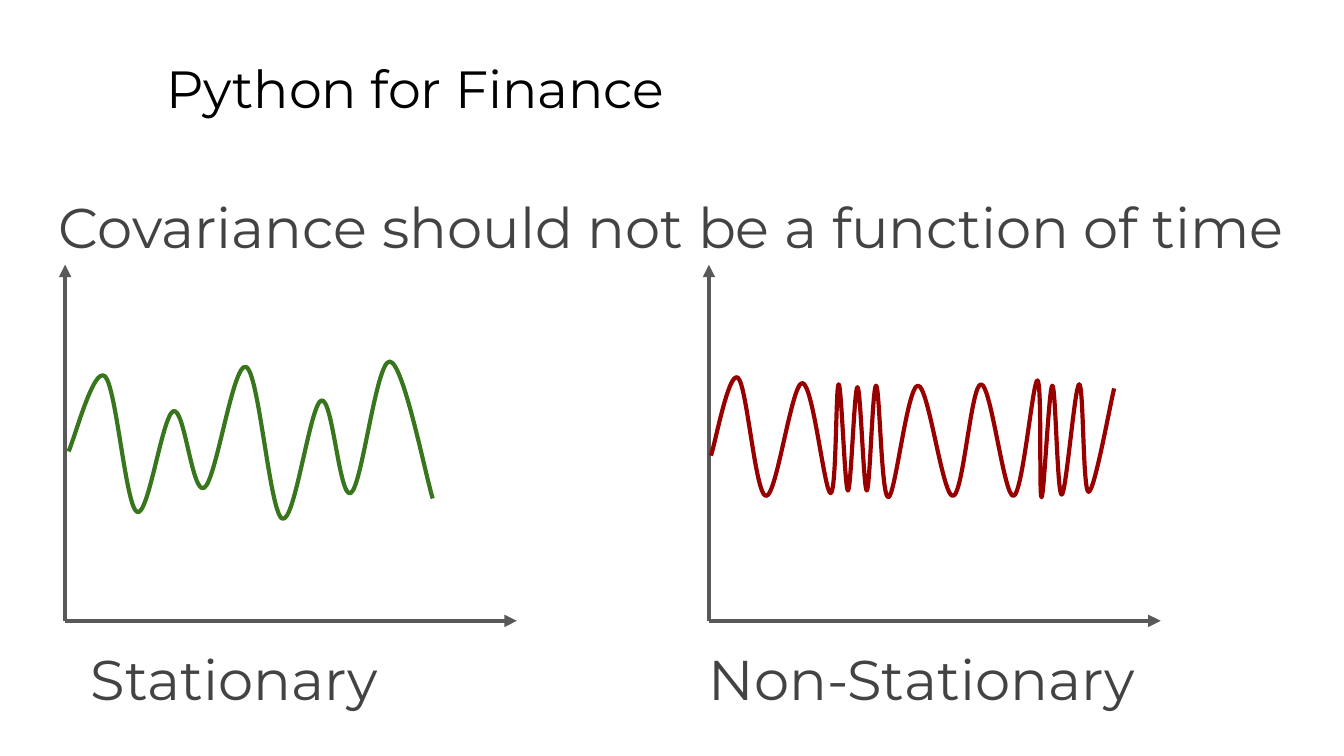
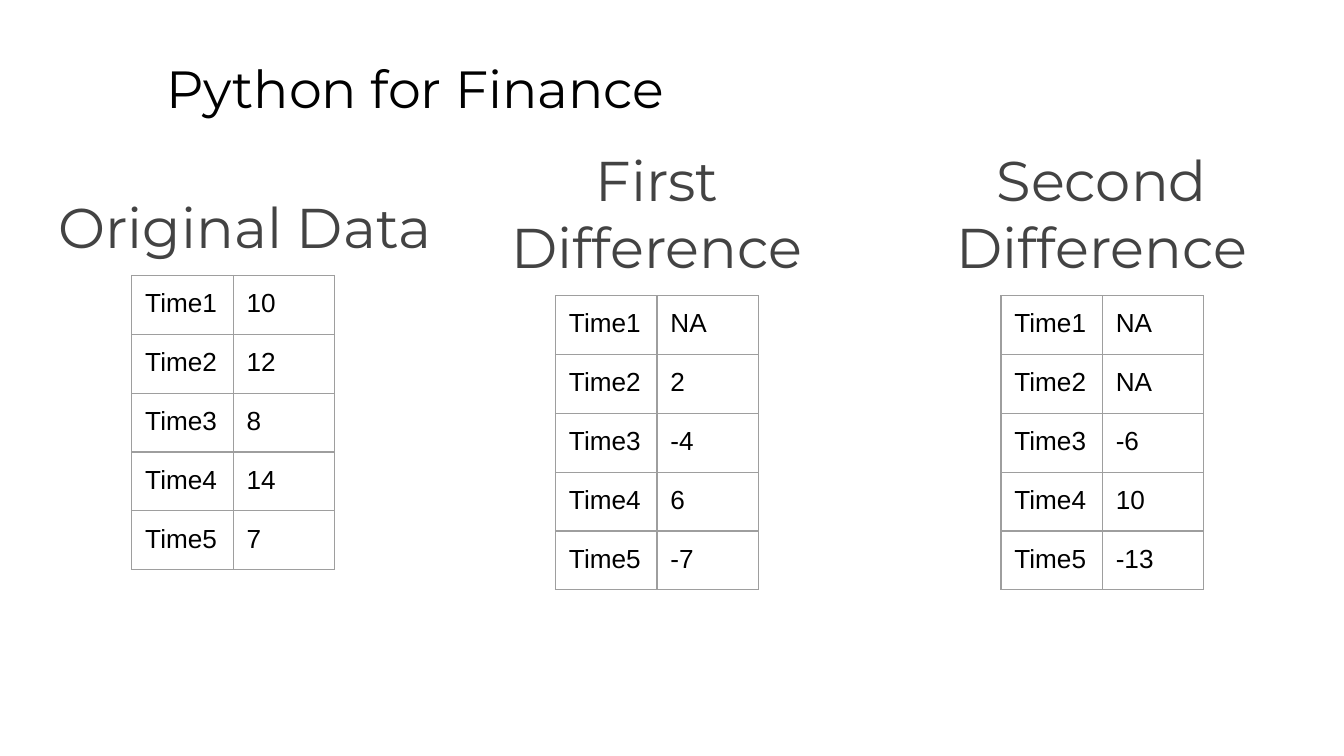
from dataclasses import dataclass

from lxml import etree
from pptx import Presentation
from pptx import util as u
from pptx.dml.color import RGBColor
from pptx.enum import shapes, text
from pptx.oxml import ns

# Content: boxes are (left, top, width, height) in points
TITLE = "Python for Finance"
TITLE_BOX = (82.1, 23, 613.4, 45.4)

COVARIANCE = ("Covariance should not be a function of time", (24.5, 90.7, 695.5, 269.3))
PLOTS = [
    {"label": "Stationary", "label_box": (34.6, 332.6, 221, 48.2), "label_right": 46,
     "axis_left": 34.9, "color": "stationary",
     "knots": [(36.7, 241.9), (56.2, 201.6), (73.4, 274.3), (92.9, 220.3),
               (109.4, 261.4), (131.8, 196.6), (151.2, 277.9), (172.1, 214.6),
               (187.9, 264.2), (208.8, 193.7), (231.8, 267.1)]},
    {"label": "Non-Stationary", "label_box": (367.2, 332.6, 266.4, 48.2), "label_right": 20,
     "axis_left": 379.8, "color": "non_stationary",
     "knots": [(380.9, 244.1), (395.3, 202.3), (410.4, 265.7), (429.8, 205.2),
               (445, 264.2), (449.3, 205.9), (454.3, 262.8), (459.4, 207.4),
               (464.4, 262.8), (469.4, 206.6), (475.9, 266.4), (491.8, 206.6),
               (510.5, 265.7), (525.6, 205.9), (542.9, 265.7), (555.8, 203.8),
               (558, 266.4), (563.8, 206.6), (568.8, 265), (578.2, 205.9),
               (583.2, 263.5), (596.9, 208.1)]},
]
AXIS_BOTTOM, AXIS_WIDTH, AXIS_HEIGHT = 332.6, 242, 190.8

SERIES = [
    {"heading": "Original Data", "heading_box": (24.5, 90.7, 223.9, 56.9),
     "format": {"line_spacing": 1.15}, "table_at": (70.6, 147.6),
     "values": ["10", "12", "8", "14", "7"]},
    {"heading": "First Difference", "heading_box": (238.3, 70.6, 227.5, 56.9),
     "format": {"alignment": text.PP_ALIGN.CENTER}, "table_at": (297.6, 158.4),
     "values": ["NA", "2", "-4", "6", "-7"]},
    {"heading": "Second Difference", "heading_box": (476.6, 70.6, 227.5, 56.9),
     "format": {"alignment": text.PP_ALIGN.CENTER}, "table_at": (536.2, 158.4),
     "values": ["NA", "NA", "-6", "10", "-13"]},
]
COLUMN_WIDTH, ROW_HEIGHT = 54.36, 31.54


@dataclass(frozen=True)
class Theme:
    display: str = "Montserrat"
    plain: str = "Arial"
    title_size: float = 28
    body_size: float = 30
    cell_size: float = 14
    black: str = "000000"
    body: str = "434343"
    axis: str = "595959"
    border: str = "9E9E9E"
    stationary: str = "38761D"
    non_stationary: str = "980000"
    stroke: float = 2.25
    border_width: float = 0.75
    inset: float = 7.2


THEME = Theme()


def points(values):
    return [u.Pt(value) for value in values]


def apply(target, values):
    for name, value in values.items():
        setattr(target, name, value)


def write(frame, words, font, size, color, paragraph_format=None):
    para = frame.paragraphs[0]
    apply(para, paragraph_format or {})
    span = para.add_run()
    span.text = words
    apply(span.font, {"name": font, "size": u.Pt(size)})
    span.font.color.rgb = RGBColor.from_string(color)


def margins(right=THEME.inset):
    sides = {f"margin_{side}": u.Pt(THEME.inset) for side in ("left", "top", "bottom")}
    return {**sides, "margin_right": u.Pt(right)}


def add_text(page, words, box, size=THEME.body_size, color=THEME.body,
             paragraph_format=None, right=THEME.inset):
    frame = page.shapes.add_textbox(*points(box)).text_frame
    apply(frame, {"word_wrap": True, "vertical_anchor": text.MSO_ANCHOR.TOP, **margins(right)})
    write(frame, words, THEME.display, size, color, paragraph_format)


def stroke(line, color):
    line.color.rgb = RGBColor.from_string(color)
    line.width = u.Pt(THEME.stroke)


def add_axis(page, start, end):
    axis = page.shapes.add_connector(shapes.MSO_CONNECTOR.STRAIGHT, *points(start + end))
    stroke(axis.line, THEME.axis)
    etree.SubElement(axis.line._get_or_add_ln(), ns.qn("a:tailEnd"), type="triangle")
    etree.SubElement(axis._element.spPr, ns.qn("a:effectLst"))


def add_curve(page, knots, color):
    knots = [tuple(points(knot)) for knot in knots]
    builder = page.shapes.build_freeform(*knots[0])
    builder.add_line_segments(knots[1:], close=False)
    curve = builder.convert_to_shape()
    curve.shadow.inherit = False
    curve.fill.background()
    stroke(curve.line, color)

    # Turn each straight segment into a Catmull-Rom curve
    padded = [knots[0], *knots, knots[-1]]
    segments = list(curve._element.iter(ns.qn("a:lnTo")))
    for index, segment in enumerate(segments):
        before, start, end, after = padded[index:index + 4]
        controls = (
            [s + (e - b) / 6 for b, s, e in zip(before, start, end)],
            [e - (a - s) / 6 for s, e, a in zip(start, end, after)],
            end,
        )
        bezier = etree.Element(ns.qn("a:cubicBezTo"))
        for x, y in controls:
            etree.SubElement(bezier, ns.qn("a:pt"),
                             x=str(round(x - curve.left)), y=str(round(y - curve.top)))
        segment.getparent().replace(segment, bezier)


def add_borders(cell):
    properties = cell._tc.get_or_add_tcPr()
    for index, side in enumerate(("lnL", "lnR", "lnT", "lnB")):
        line = etree.Element(ns.qn(f"a:{side}"), w=str(u.Pt(THEME.border_width)))
        fill = etree.SubElement(line, ns.qn("a:solidFill"))
        etree.SubElement(fill, ns.qn("a:srgbClr"), val=THEME.border)
        properties.insert(index, line)


def add_series_table(page, corner, values):
    size = (2 * COLUMN_WIDTH, len(values) * ROW_HEIGHT)
    table = page.shapes.add_table(len(values), 2, *points(corner + size)).table
    apply(table, {"first_row": False, "horz_banding": False})
    for column in table.columns:
        column.width = u.Pt(COLUMN_WIDTH)
    for index, value in enumerate(values):
        table.rows[index].height = u.Pt(ROW_HEIGHT)
        for cell, words in zip(table.rows[index].cells, (f"Time{index + 1}", value)):
            apply(cell, margins())
            cell.fill.background()
            add_borders(cell)
            write(cell.text_frame, words, THEME.plain, THEME.cell_size, THEME.black)


def add_page(deck):
    page = deck.slides.add_slide(deck.slide_layouts[6])
    add_text(page, TITLE, TITLE_BOX, THEME.title_size, THEME.black)
    return page


def main():
    deck = Presentation()
    apply(deck, {"slide_width": u.Pt(720), "slide_height": u.Pt(405)})

    # Covariance plots
    page = add_page(deck)
    for plot in PLOTS:
        add_text(page, plot["label"], plot["label_box"], right=plot["label_right"],
                 paragraph_format={"alignment": text.PP_ALIGN.CENTER, "line_spacing": 1.15})
        left = plot["axis_left"]
        origin = (left, AXIS_BOTTOM)
        add_axis(page, origin, (left, AXIS_BOTTOM - AXIS_HEIGHT))
        add_axis(page, origin, (left + AXIS_WIDTH, AXIS_BOTTOM))
    add_text(page, *COVARIANCE, paragraph_format={"line_spacing": 1.15})
    for plot in PLOTS:
        add_curve(page, plot["knots"], getattr(THEME, plot["color"]))

    # Differencing tables
    page = add_page(deck)
    for series in SERIES:
        add_text(page, series["heading"], series["heading_box"],
                 paragraph_format=series["format"])
        add_series_table(page, series["table_at"], series["values"])

    deck.save("out.pptx")


if __name__ == "__main__":
    main()
